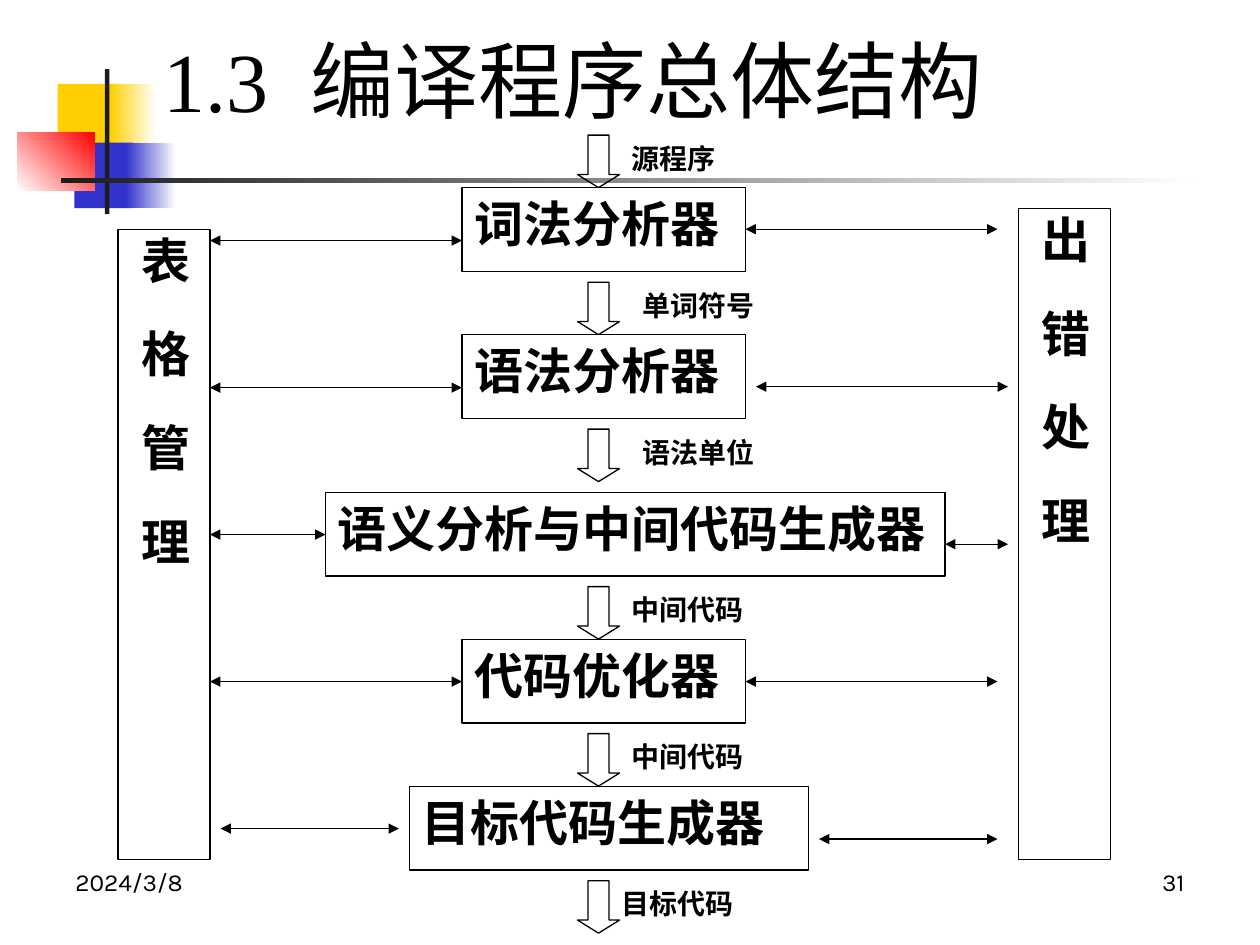
from lxml import etree
from pptx import Presentation
from pptx import util as u
from pptx.dml.color import RGBColor
from pptx.enum import shapes, text
from pptx.oxml.ns import qn

Pt = u.Pt
THEME = {
    "ink": "000000", "paper": "FFFFFF", "gold": "FFCF01", "blue": "3333CC",
    "red": "FF0000", "bar": "1C1C1C",
    "latin": "Times New Roman", "cjk": "Noto Sans CJK SC", "footer": "Karla",
    "title_size": 48, "stage_size": 28, "label_size": 16, "footer_size": 14,
    "line": 0.75,
}

TITLE = ["1.3", " ", "编译程序总体结构"]
STAGES = [
    {"name": "词法分析器", "x": 264, "w": 162, "left": (120, 264), "right": (426, 570, 131)},
    {"name": "语法分析器", "x": 264, "w": 162, "left": (120, 264), "right": (432, 576, 221)},
    {"name": "语义分析与中间代码生成器", "x": 186, "w": 354, "left": (120, 186), "right": (540, 576, 311)},
    {"name": "代码优化器", "x": 264, "w": 162, "left": (120, 264), "right": (426, 570, 389.5)},
    {"name": "目标代码生成器", "x": 234, "w": 228, "left": (126, 228), "right": (468, 570, 479.5)},
]
FLOWS = [("源程序", 354), ("单词符号", 360), ("语法单位", 360),
         ("中间代码", 354), ("中间代码", 354), ("目标代码", 348)]
PILLARS = [("表格管理", 67.5, 131.25, 52.5, 360), ("出错处理", 582, 119.25, 52.5, 372)]
FOOTERS = [("2024/3/8", 36, text.PP_ALIGN.LEFT), ("31", 516, text.PP_ALIGN.RIGHT)]
DECOR = [
    ((33, 48, 34.5, 37.5), ("gold",), 0),
    ((63, 48, 26, 37.5), ("gold", "paper"), 0),
    ((42.5, 81.5, 33.5, 37.5), ("blue",), 0),
    ((72, 81.5, 28.5, 37.5), ("blue", "paper"), 0),
    ((10, 75.5, 44, 33.5), ("paper", "red"), 45),
    ((60, 39.5, 2.5, 83), ("bar",), 0),
    ((34.75, 102, 648, 2.5), ("bar", "paper"), 0),
]
TOP, PITCH, ARROW_H, STAGE_H, EXTRA = 77.25, 84, 30, 48, 6
FIRST_LINK, ARROW_X, ARROW_W = 137.5, 330, 24
PILLAR_TRACKING, TITLE_TRACKING = 25.7, 12

prs = Presentation()
prs.slide_width, prs.slide_height = Pt(720), Pt(540)
s = prs.slides.add_slide(prs.slide_layouts[6])


def color(name):
    return RGBColor.from_string(THEME[name])


def add_run(p, words, size, bold=False, latin="latin", tracking=0):
    r = p.add_run()
    r.text = words
    r.font.size, r.font.bold = Pt(THEME[size]), bold
    r.font.name = THEME[latin]
    r.font.color.rgb = color("ink")
    rPr = r.font._element
    ea = etree.Element(qn("a:ea"), typeface=THEME["cjk"])
    rPr.find(qn("a:latin")).addnext(ea)
    if tracking:
        rPr.set("spc", str(round(tracking * 100)))


def prepare(sp, anchor=text.MSO_ANCHOR.TOP, align=text.PP_ALIGN.LEFT):
    tf = sp.text_frame
    tf.word_wrap, tf.vertical_anchor = True, anchor
    p = tf.paragraphs[0]
    p.alignment = align
    return p


def text_box(x, y, w, h, **layout):
    return prepare(s.shapes.add_textbox(Pt(x), Pt(y), Pt(w), Pt(h)), **layout)


def outline(kind, x, y, w, h):
    sp = s.shapes.add_shape(kind, Pt(x), Pt(y), Pt(w), Pt(h))
    sp.shadow.inherit = False
    sp.fill.background()
    sp.line.color.rgb, sp.line.width = color("ink"), Pt(THEME["line"])
    return sp


def decoration(bounds, colors, angle):
    sp = outline(shapes.MSO_SHAPE.RECTANGLE, *bounds)
    sp.line.fill.background()
    if len(colors) == 1:
        sp.fill.solid()
        sp.fill.fore_color.rgb = color(colors[0])
        return
    sp.fill.gradient()
    sp.fill.gradient_angle = angle
    for stop, name, pos in zip(sp.fill.gradient_stops, colors, (0, 1)):
        stop.color.rgb, stop.position = color(name), pos


def link(x1, x2, y):
    c = s.shapes.add_connector(shapes.MSO_CONNECTOR.STRAIGHT, Pt(x1), Pt(y), Pt(x2), Pt(y))
    c.line.color.rgb, c.line.width = color("ink"), Pt(THEME["line"])
    ln = c.line._get_or_add_ln()
    for end in ("a:headEnd", "a:tailEnd"):
        etree.SubElement(ln, qn(end), type="triangle")
    etree.SubElement(c._element.spPr, qn("a:effectLst"))


for item in DECOR:
    decoration(*item)

for words, x, align in FOOTERS:
    add_run(text_box(x, 492, 168, 37.5, align=align), words, "footer_size", latin="footer")

p = text_box(86.5, 18, 580, 54, anchor=text.MSO_ANCHOR.MIDDLE)
for words in TITLE:
    add_run(p, words, "title_size", tracking=TITLE_TRACKING if words == " " else 0)

for words, *bounds in PILLARS:
    sp = outline(shapes.MSO_SHAPE.RECTANGLE, *bounds)
    p = prepare(sp, anchor=text.MSO_ANCHOR.MIDDLE)
    body = sp.text_frame._txBody.bodyPr
    body.set("vert", "eaVert")
    for side, inset in (("lIns", 7.2), ("tIns", 3.6), ("rIns", 7.2), ("bIns", 3.6)):
        body.set(side, str(Pt(inset)))
    add_run(p, words, "stage_size", True, "cjk", PILLAR_TRACKING)

for i, stage in enumerate(STAGES):
    y = TOP + ARROW_H + PITCH * i + EXTRA * (i >= 2)
    sp = outline(shapes.MSO_SHAPE.RECTANGLE, stage["x"], y, stage["w"], STAGE_H)
    add_run(prepare(sp), stage["name"], "stage_size", True)
    link(*stage["left"], FIRST_LINK + PITCH * i)
    link(*stage["right"])

for i, (words, x) in enumerate(FLOWS):
    y = TOP + PITCH * i + EXTRA * (i >= 3)
    arrow = outline(shapes.MSO_SHAPE.DOWN_ARROW, ARROW_X, y, ARROW_W, ARROW_H)
    arrow.adjustments[0], arrow.adjustments[1] = 0.5, 0.31
    add_run(text_box(x, y, 96, 24), words, "label_size", True)

prs.save("out.pptx")
